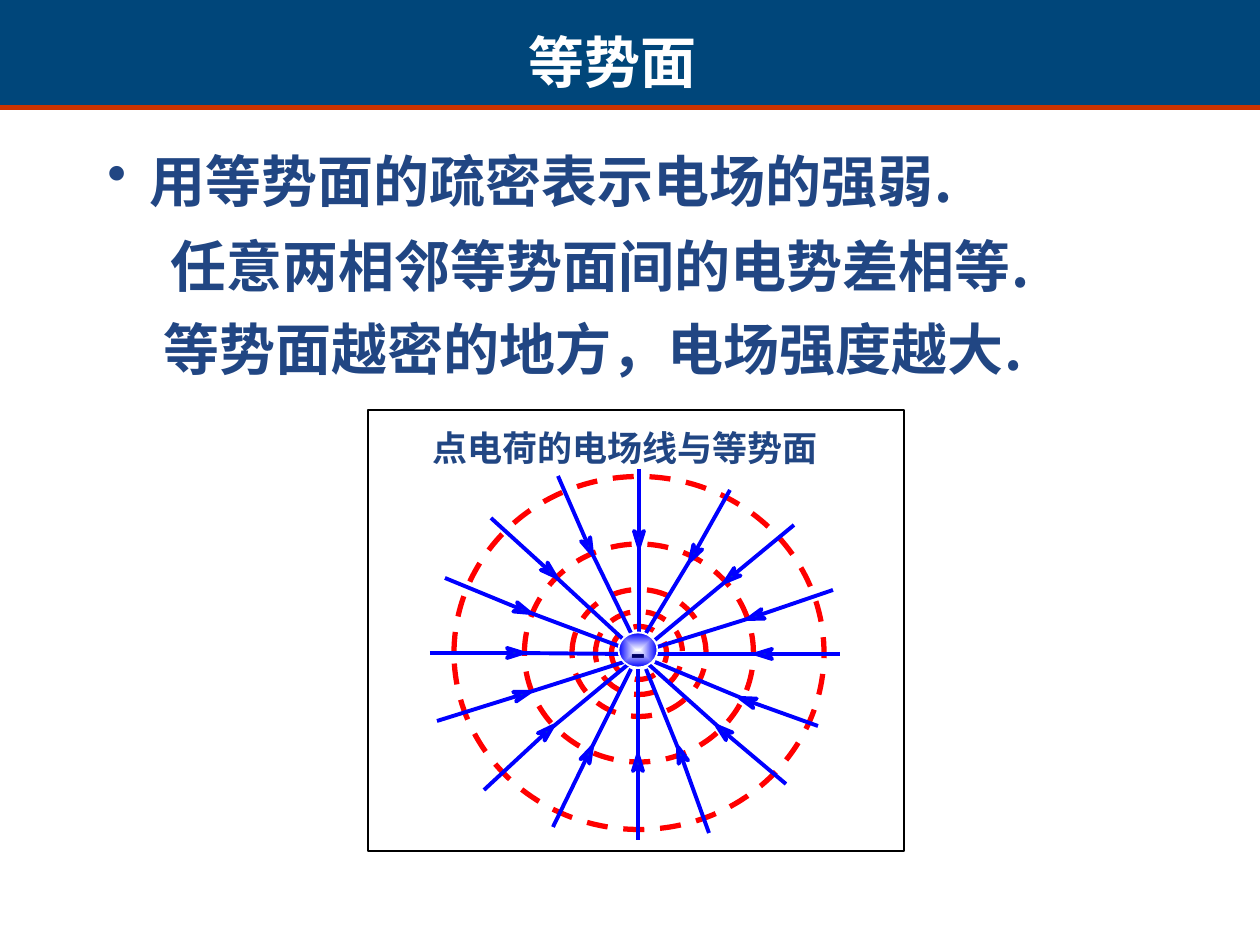
from math import hypot

from lxml.etree import SubElement
from pptx import Presentation
from pptx.dml.color import RGBColor
from pptx.enum.dml import MSO_LINE
from pptx.enum.shapes import MSO_CONNECTOR, MSO_SHAPE
from pptx.enum.text import MSO_ANCHOR, MSO_AUTO_SIZE, PP_ALIGN
from pptx.oxml.ns import qn
from pptx.util import Emu, Pt

PX = 914400 / 126
NAVY, BLUE, WHITE = "214683", "0000FF", "FFFFFF"
SANS = "Noto Sans CJK SC"

STATEMENTS = [
    (95, 127, "用等势面的疏密表示电场的强弱.", 42, "•"),
    (158, 212, "任意两相邻等势面间的电势差相等.", 0, None),
    (126, 295, "等势面越密的地方，电场强度越大.", 25, None),
]
EQUIPOTENTIALS = [(370, 353), (229, 218), (134, 127), (87, 83), (55, 53)]
FIELD_LINES = [
    ((-208, 1), (-115, 1), (-14, 2)),
    ((-193, -74), (-108, -39), (-14, -4)),
    ((-147, -134), (-82, -75), (-14, -12)),
    ((-80, -176), (-46, -98), (-7, -19)),
    ((1, -183), (1, -105), (1, -19)),
    ((92, -162), (52, -91), (8, -19)),
    ((156, -127), (87, -70), (17, -12)),
    ((195, -62), (110, -33), (16, -4)),
    ((202, 2), (118, 2), (17, 2)),
    ((180, 74), (102, 46), (17, 10)),
    ((148, 132), (79, 74), (8, 10)),
    ((71, 181), (40, 95), (8, 17)),
    ((0, 188), (0, 103), (0, 17)),
    ((-85, 175), (-46, 95), (-7, 17)),
    ((-154, 138), (-85, 74), (-7, 10)),
    ((-201, 69), (-108, 40), (-14, 10)),
]


def px(length):
    """Turn pixels into EMU."""
    return Emu(round(length * PX))


def colour(value):
    """Turn a hex string into a colour."""
    return RGBColor.from_string(value)


def paint(shape, fill=None, line=None, width=1.0):
    """Set the fill and outline of a shape and drop its shadow."""
    shape.shadow.inherit = False
    if fill:
        shape.fill.solid()
        shape.fill.fore_color.rgb = colour(fill)
    else:
        shape.fill.background()
    if line:
        shape.line.color.rgb = colour(line)
        shape.line.width = Pt(width)
    else:
        shape.line.fill.background()


def add_block(slide, kind, box, fill=None, line=None, width=1.0):
    """Add a painted preset shape in a pixel box."""
    block = slide.shapes.add_shape(kind, *map(px, box))
    paint(block, fill, line, width)
    return block


def add_oval(slide, centre, size, fill=None, line=None, width=1.0):
    """Add an ellipse around a centre."""
    (x, y), (w, h) = centre, size
    box = (x - w / 2, y - h / 2, w, h)
    return add_block(slide, MSO_SHAPE.OVAL, box, fill, line, width)


def style(paragraph, font_name, size, text_colour, bold=True):
    """Set the font of a paragraph."""
    font = paragraph.font
    font.name, font.size, font.bold = font_name, Pt(size), bold
    font.color.rgb = colour(text_colour)


def add_text(slide, box, text, font_name, size, text_colour, space=20):
    """Add a one-paragraph text box and return the paragraph."""
    frame = slide.shapes.add_textbox(*map(px, box)).text_frame
    frame.word_wrap = True
    frame.auto_size = MSO_AUTO_SIZE.SHAPE_TO_FIT_TEXT
    paragraph = frame.paragraphs[0]
    paragraph.text = text
    paragraph.space_before = Pt(space)
    style(paragraph, font_name, size, text_colour)
    return paragraph


def add_statement(slide, left, top, text, indent, bullet):
    """Add one statement, indented and with a bullet if given."""
    paragraph = add_text(slide, (left, top, 924, 93), text, SANS, 32, NAVY)
    paragraph.line_spacing = 1.2
    properties = paragraph._p.get_or_add_pPr()
    properties.set("marL", str(px(indent)))
    properties.set("indent", str(px(-indent) if bullet else 0))
    if bullet:
        mark = properties.makeelement(qn("a:buChar"), {"char": bullet})
        properties.find(qn("a:defRPr")).addprevious(mark)


def add_segment(slide, start, end):
    """Add a straight piece of a field line."""
    segment = slide.shapes.add_connector(
        MSO_CONNECTOR.STRAIGHT, *map(px, (*start, *end)))
    segment.line.color.rgb = colour(BLUE)
    segment.line.width = Pt(2.25)
    SubElement(segment._element.spPr, qn("a:effectLst"))


def add_field_line(slide, outer, tip, inner):
    """Add a field line with a barbed arrowhead at its tip."""
    dx, dy = tip[0] - outer[0], tip[1] - outer[1]
    length = hypot(dx, dy)
    ux, uy = dx / length, dy / length

    def behind(back, side):
        """Give a point behind the tip and to its side."""
        return (px(tip[0] - back * ux - side * uy),
                px(tip[1] - back * uy + side * ux))

    add_segment(slide, outer, behind_tip := (tip[0] - 10 * ux, tip[1] - 10 * uy))
    add_segment(slide, behind_tip, inner)
    outline = slide.shapes.build_freeform(*behind(0, 0), scale=1.0)
    outline.add_line_segments([behind(16, 5), behind(11, 0), behind(16, -5)])
    paint(outline.convert_to_shape(), "0033CC", BLUE, 2.25)


def add_charge(slide, centre):
    """Add the negative charge as a shaded ball."""
    ball = add_oval(slide, centre, (39, 35), BLUE, WHITE)
    ball.fill.gradient()
    for stop, shade in zip(ball.fill.gradient_stops, (WHITE, BLUE)):
        stop.color.rgb = colour(shade)
    gradient = ball._element.spPr.find(qn("a:gradFill"))
    gradient.remove(gradient.find(qn("a:lin")))
    spread = SubElement(gradient, qn("a:path"), {"path": "rect"})
    SubElement(spread, qn("a:fillToRect"), dict.fromkeys("ltrb", "50000"))
    frame = ball.text_frame
    frame.word_wrap = False
    frame.vertical_anchor = MSO_ANCHOR.MIDDLE
    sign = frame.paragraphs[0]
    sign.text = "-"
    sign.alignment = PP_ALIGN.CENTER
    style(sign, "Arial", 28, "000066", False)


def add_field_diagram(slide, left, top, width, height):
    """Add the framed diagram of a point charge and its field."""
    add_block(slide, MSO_SHAPE.RECTANGLE, (left, top, width, height),
              WHITE, "000000", 0.75)
    add_text(slide, (left + 52, top + 10, 464, 55),
             "点电荷的电场线与等势面", "Times New Roman", 20, NAVY, 12.5)
    x, y = left + 270, top + 242
    for size in EQUIPOTENTIALS:
        ring = add_oval(slide, (x + 1, y + 1), size, None, "FF0000", 3)
        ring.line.dash_style = MSO_LINE.DASH
    for field_line in FIELD_LINES:
        add_field_line(slide, *((x + dx, y + dy) for dx, dy in field_line))
    add_charge(slide, (x, y - 2))


def add_header(slide, left, top, width, height):
    """Add the title band with its red edge."""
    add_block(slide, MSO_SHAPE.RECTANGLE,
              (left, top + height - 5, width, 10), "CC3300")
    add_block(slide, MSO_SHAPE.RECTANGLE, (left, top, width, height), "00467A")
    title = add_text(slide, (left + 325, top + 21, 576, 81),
                     "等势面", SANS, 32, WHITE)
    title.alignment = PP_ALIGN.CENTER


def main():
    """Build the slide and save it."""
    deck = Presentation()
    deck.slide_width, deck.slide_height = px(1260), px(945)
    slide = deck.slides.add_slide(deck.slide_layouts[6])
    for statement in STATEMENTS:
        add_statement(slide, *statement)
    add_field_diagram(slide, 368, 410, 536, 441)
    add_header(slide, 0, 0, 1260, 105)
    deck.save("out.pptx")


if __name__ == "__main__":
    main()
